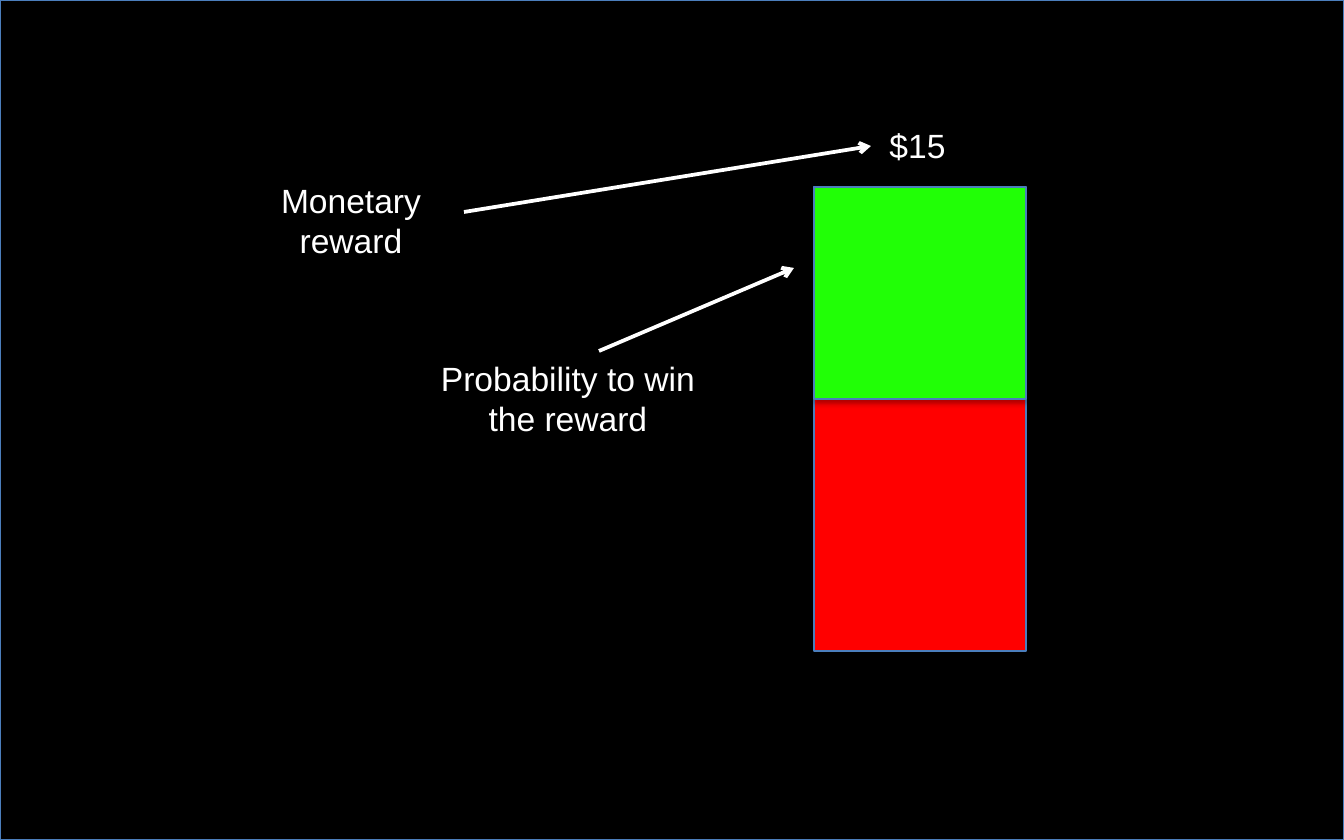
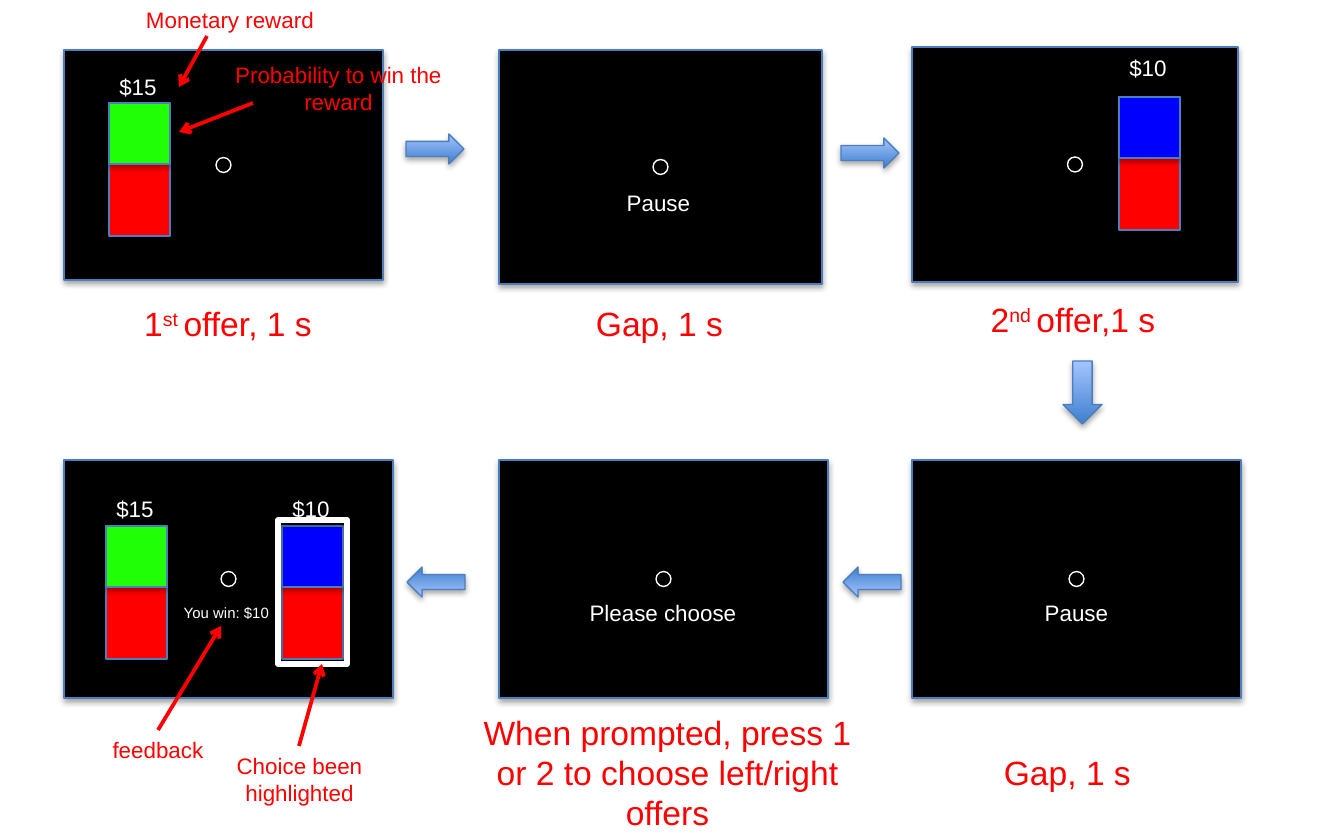
from lxml import etree
from pptx import Presentation
from pptx.dml.color import RGBColor
from pptx.enum.shapes import MSO_CONNECTOR, MSO_SHAPE
from pptx.enum.text import MSO_AUTO_SIZE, PP_ALIGN
from pptx.oxml import parse_xml
from pptx.oxml.ns import nsdecls, qn
from pptx.util import Pt

PX = 914400 / 134.4  # EMU in one pixel
RECT, OVAL = MSO_SHAPE.RECTANGLE, MSO_SHAPE.OVAL
RIGHT, DOWN = MSO_SHAPE.RIGHT_ARROW, MSO_SHAPE.DOWN_ARROW
STRAIGHT = MSO_CONNECTOR.STRAIGHT
CENTER, GROW = PP_ALIGN.CENTER, MSO_AUTO_SIZE.SHAPE_TO_FIT_TEXT

BLACK, WHITE, RED = "000000", "FFFFFF", "FF0000"
GREEN, BLUE, OUTLINE = "21FF06", "0000FF", "4B7EBC"
FLOW_DARK, FLOW_LIGHT = "3F80CE", "A4C4FF"
color = RGBColor.from_string

SHADOW = (
    f'<a:outerShdw {nsdecls("a")} blurRad="40000" dist="23000" dir="5400000" rotWithShape="0">'
    '<a:srgbClr val="000000"><a:alpha val="35000"/></a:srgbClr></a:outerShdw>'
)


def add_box(slide, kind, box, fill=None, line=OUTLINE, line_width=0.75):
    """Add a shadowed preset shape; box is left, top, width, height in pixels."""
    shape = slide.shapes.add_shape(kind, *(round(v * PX) for v in box))
    if fill:
        shape.fill.solid()
        shape.fill.fore_color.rgb = color(fill)
    else:
        shape.fill.background()
    shape.line.color.rgb = color(line)
    shape.line.width = Pt(line_width)
    shape.shadow.inherit = False
    shape._element.spPr.find(qn("a:effectLst")).append(parse_xml(SHADOW))
    return shape


def add_label(slide, text, box, size, ink):
    """Add centred text; parts between ^ marks are raised."""
    label = slide.shapes.add_textbox(*(round(v * PX) for v in box))
    frame = label.text_frame
    frame.word_wrap = True
    frame.auto_size = GROW
    paragraph = frame.paragraphs[0]
    paragraph.alignment = CENTER
    paragraph.font.name = "Arial"
    paragraph.font.size = Pt(size)
    paragraph.font.color.rgb = color(ink)
    for i, part in enumerate(text.split("^")):
        run = paragraph.add_run()
        run.text = part
        if i % 2:
            run._r.get_or_add_rPr().set("baseline", "30000")


prs = Presentation()
prs.slide_width, prs.slide_height = round(1344 * PX), round(840 * PX)
blank = prs.slide_layouts[6]

# Slide 1: how one offer is read
offer = prs.slides.add_slide(blank)
add_box(offer, RECT, (0, 0, 1344, 840), BLACK)
add_box(offer, RECT, (814, 187, 212, 464), RED)
add_box(offer, RECT, (814, 187, 212, 212), GREEN)
for text, box in [
    ("$15", (837, 118, 161, 54)),
    ("Monetary reward", (238, 173, 226, 95)),
    ("Probability to win the reward", (422, 351, 292, 95)),
]:
    add_label(offer, text, box, 18, WHITE)

# Slide 2: the course of one trial
trial = prs.slides.add_slide(blank)
DOT = 15
for left, top, width, height in [
    (64, 50, 319, 230),
    (499, 50, 323, 234),
    (912, 47, 326, 235),
    (912, 460, 329, 238),
    (499, 460, 329, 238),
    (64, 460, 329, 238),
]:
    add_box(trial, RECT, (left, top, width, height), BLACK)
    fixation = (left + (width - DOT) / 2, top + (height - DOT) / 2, DOT, DOT)
    add_box(trial, OVAL, fixation, line=WHITE)

for left, top, label_rise, reward, win_color in [
    (109, 103, 36, "$15", GREEN),
    (1119, 97, 49, "$10", BLUE),
    (106, 526, 37, "$15", GREEN),
    (282, 526, 37, "$10", BLUE),
]:
    add_box(trial, RECT, (left, top, 61, 133), RED)
    add_box(trial, RECT, (left, top, 61, 61), win_color)
    add_label(trial, reward, (left - 12, top - label_rise, 82, 40), 12, WHITE)

for text, box, size in [
    ("Pause", (593, 183, 131, 40), 12),
    ("Pause", (1011, 593, 131, 40), 12),
    ("Please choose", (562, 593, 202, 40), 12),
    ("You win: $10", (144, 597, 165, 32), 8),
]:
    add_label(trial, text, box, size, WHITE)
add_box(trial, RECT, (278, 520, 69, 144), line=WHITE, line_width=3)

for kind, box, rotation in [
    (RIGHT, (406, 134, 58, 30), 0),
    (RIGHT, (841, 138, 58, 30), 0),
    (DOWN, (1063, 361, 39, 63), 0),
    (RIGHT, (843, 567, 58, 30), 180),
    (RIGHT, (407, 567, 58, 30), 180),
]:
    step = add_box(trial, kind, box)
    step.rotation = rotation
    step.fill.gradient()
    step.fill.gradient_angle = 90
    for stop, shade in zip(step.fill.gradient_stops, (FLOW_DARK, FLOW_LIGHT)):
        stop.color.rgb = color(shade)

for text, box, size in [
    ("Monetary reward", (117, 0, 226, 40), 12),
    ("Probability to win the reward", (221, 55, 235, 67), 12),
    ("feedback", (95, 730, 126, 40), 12),
    ("Choice been highlighted", (192, 746, 215, 67), 12),
    ("1^st ^offer, 1 s", (126, 296, 204, 54), 18),
    ("Gap, 1 s", (577, 296, 165, 54), 18),
    ("2^nd ^offer,1 s", (954, 292, 238, 54), 18),
    ("Gap, 1 s", (985, 745, 165, 54), 18),
    ("When prompted, press 1 or 2 to choose left/right offers", (454, 705, 427, 136), 18),
]:
    add_label(trial, text, box, size, RED)

# Pointers from the notes to what they explain
for slide, ink, ends in [
    (offer, WHITE, (464, 212, 871, 146)),
    (offer, WHITE, (599, 351, 794, 268)),
    (trial, RED, (207, 36, 179, 87)),
    (trial, RED, (253, 103, 179, 132)),
    (trial, RED, (158, 730, 221, 626)),
    (trial, RED, (299, 746, 322, 664)),
]:
    pointer = slide.shapes.add_connector(STRAIGHT, *(round(v * PX) for v in ends))
    pointer.line.color.rgb = color(ink)
    pointer.line.width = Pt(2)
    properties = pointer._element.spPr
    etree.SubElement(properties.find(qn("a:ln")), qn("a:tailEnd"), type="arrow")
    etree.SubElement(properties, qn("a:effectLst"))

prs.save("out.pptx")
